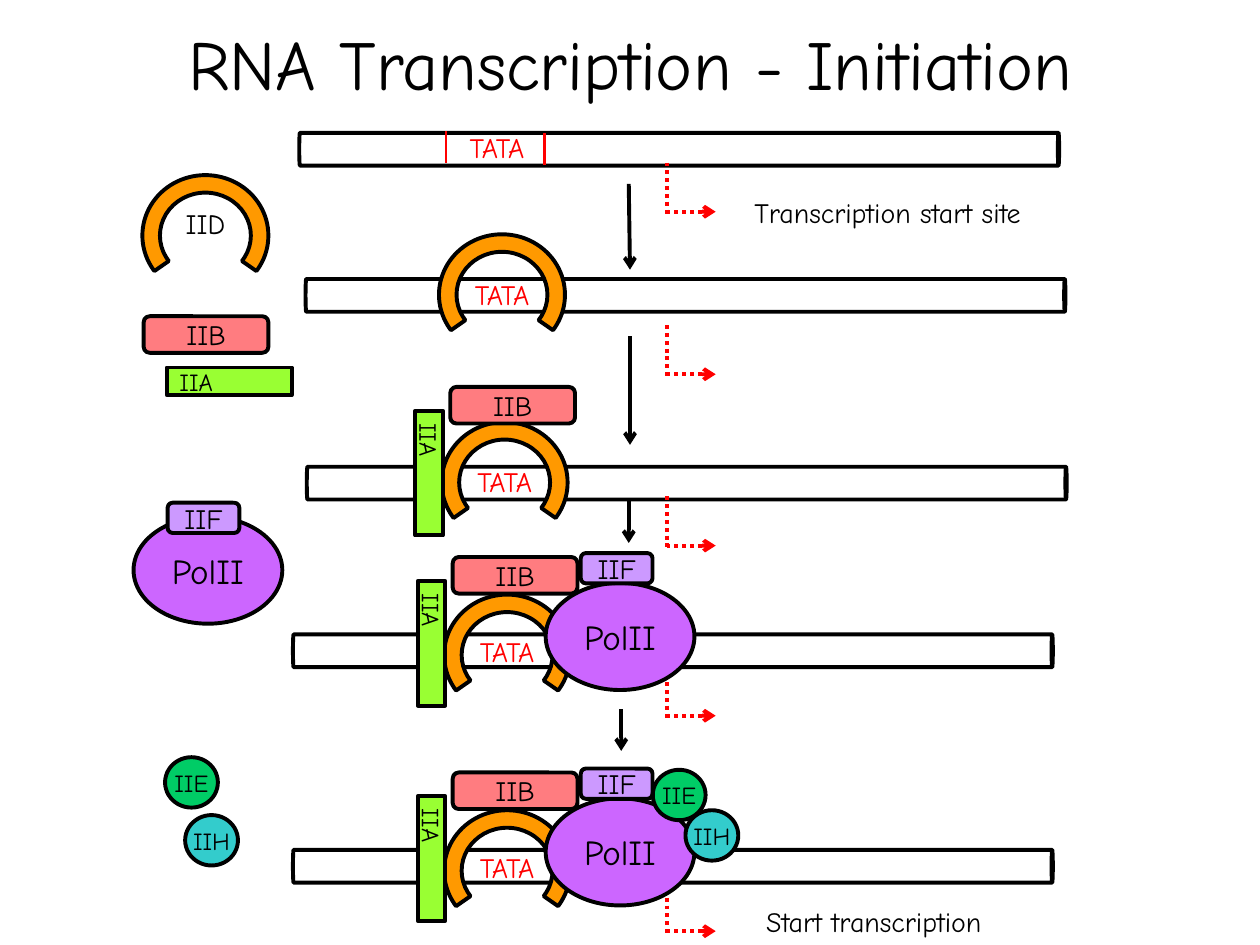
"""Build the RNA transcription initiation slide."""
from dataclasses import dataclass

import lxml.etree
import pptx
import pptx.dml.color
import pptx.enum.dml
import pptx.enum.shapes
import pptx.enum.text
import pptx.oxml.ns
import pptx.util

Pt = pptx.util.Pt
PRESET = pptx.enum.shapes.MSO_SHAPE
FONT = "Comic Neue"
COLORS = {
    "black": "000000", "white": "FFFFFF", "red": "FF0000", "orange": "FF9900",
    "salmon": "FF7C80", "lime": "99FF33", "purple": "CC66FF",
    "lilac": "CC99FF", "green": "00CC66", "teal": "33CCCC",
}


@dataclass(frozen=True)
class Factor:
    preset: int
    width: float
    height: float
    color: str
    text_size: float
    dx: float = 0
    dy: float = 0
    adjustments: tuple = ()
    vertical: bool = False


@dataclass(frozen=True)
class Stage:
    dna_x: float
    dna_y: float
    tata_x: float
    tata_y: float
    start_y: float
    bound: tuple = ()
    arc_y: float = 0


@dataclass(frozen=True)
class FreeFactor:
    name: str
    x: float
    y: float
    rotation: float = 0


FACTORS = {
    "IID": Factor(PRESET.BLOCK_ARC, 72, 69.1, "orange", 16, -9, 0, (87.104, 20.896, 0.145)),
    "IIA": Factor(PRESET.RECTANGLE, 15.8, 71.3, "lime", 14, -24.1, -31, vertical=True),
    "IIB": Factor(PRESET.ROUNDED_RECTANGLE, 71.3, 20.9, "salmon", 16, -4.1, -44.6),
    "PolII": Factor(PRESET.OVAL, 85, 61.2, "purple", 20, 49, -29.8),
    "IIF": Factor(PRESET.ROUNDED_RECTANGLE, 41, 17.3, "lilac", 16, 69.1, -46.8),
    "IIE": Factor(PRESET.OVAL, 30.2, 28.8, "green", 14, 110.2, -46.1),
    "IIH": Factor(PRESET.OVAL, 30.2, 28.8, "teal", 14, 128.9, -23),
}
BINDING_ORDER = tuple(FACTORS)
STAGES = (
    Stage(388.1, 85.3, 257, 74.9, 92.9),
    Stage(391.7, 168.8, 259.9, 159.1, 185.8, BINDING_ORDER[:1], 133.9),
    Stage(392.4, 276.1, 261.4, 265.7, 283.7, BINDING_ORDER[:3], 241.2),
    Stage(384.5, 371.9, 262.8, 362.9, 380.9, BINDING_ORDER[:5], 339.8),
    Stage(384.5, 495, 262.8, 486, 504, BINDING_ORDER, 463),
)
FREE_FACTORS = (
    FreeFactor("IID", 81.4, 100.1),
    FreeFactor("IIB", 82.1, 180.7),
    FreeFactor("IIA", 123.1, 182.2, 270),
    FreeFactor("PolII", 76.3, 295.2),
    FreeFactor("IIF", 95.8, 287.3),
    FreeFactor("IIE", 94.3, 432.7),
    FreeFactor("IIH", 105.8, 465.8),
)
STEP_ARROWS = (
    (359.3, 105.1, 360, 154.1),
    (360, 192.2, 360, 254.2),
    (359.3, 285.8, 359.3, 310.3),
    (355, 405.4, 355, 429.1),
)
LABELS = (
    ("Transcription start site", 421.2, 108),
    ("Start transcription", 413.3, 513.4),
)
DNA_LENGTH, DNA_THICKNESS = 434.2, 18.7
TATA_WIDTH = 54
START_X, START_HEIGHT, START_LENGTH = 380.9, 31, 28.1


def rgb(color: str) -> pptx.dml.color.RGBColor:
    """Return the named colour."""
    return pptx.dml.color.RGBColor.from_string(COLORS[color])


def write(target, text: str, *, size: float, color: str = "black",
          wrap: bool = False, vertical: bool = False) -> None:
    """Put centred text into a shape or text box."""
    frame = target.text_frame
    frame.word_wrap = wrap
    frame.vertical_anchor = pptx.enum.text.MSO_ANCHOR.MIDDLE
    if vertical:
        frame.margin_left = frame.margin_right = Pt(3.6)
        frame.margin_top = frame.margin_bottom = Pt(7.2)
        frame._txBody.bodyPr.set("vert", "eaVert")
    paragraph = frame.paragraphs[0]
    paragraph.alignment = pptx.enum.text.PP_ALIGN.CENTER
    run = paragraph.add_run()
    run.text = text
    run.font.name = FONT
    run.font.size = Pt(size)
    run.font.color.rgb = rgb(color)


def add_solid(shapes, preset: int, x: float, y: float, width: float, height: float,
              color: str, outlined: bool = True):
    """Add a filled preset shape."""
    solid = shapes.add_shape(preset, Pt(x), Pt(y), Pt(width), Pt(height))
    solid.shadow.inherit = False
    solid.fill.solid()
    solid.fill.fore_color.rgb = rgb(color)
    if outlined:
        solid.line.color.rgb = rgb("black")
        solid.line.width = Pt(2.25)
    else:
        solid.line.fill.background()
    return solid


def add_line(shapes, x1: float, y1: float, x2: float, y2: float, color: str,
             width: float = 2.25, dotted: bool = False, arrow: bool = False) -> None:
    """Add a straight line, optionally dotted or with an arrowhead."""
    line = shapes.add_connector(
        pptx.enum.shapes.MSO_CONNECTOR.STRAIGHT, Pt(x1), Pt(y1), Pt(x2), Pt(y2))
    line.line.color.rgb = rgb(color)
    line.line.width = Pt(width)
    if dotted:
        line.line.dash_style = pptx.enum.dml.MSO_LINE.ROUND_DOT
    qn = pptx.oxml.ns.qn
    if arrow:
        lxml.etree.SubElement(line.line._get_or_add_ln(), qn("a:tailEnd"), type="arrow")
    lxml.etree.SubElement(line._element.spPr, qn("a:effectLst"))


def add_factor(shapes, name: str, x: float, y: float, rotation: float = 0,
               labelled: bool = True) -> None:
    """Add one transcription factor."""
    factor = FACTORS[name]
    body = add_solid(shapes, factor.preset, x, y, factor.width, factor.height, factor.color)
    body.rotation = rotation
    for index, value in enumerate(factor.adjustments):
        body.adjustments[index] = value
    if labelled:
        write(body, name, size=factor.text_size, vertical=factor.vertical)


def add_stage(shapes, stage: Stage) -> None:
    """Add a DNA strand with its TATA box, start site and bound factors."""
    dna = add_solid(shapes, PRESET.CAN, stage.dna_x - DNA_THICKNESS / 2,
                    stage.dna_y - DNA_LENGTH / 2, DNA_THICKNESS, DNA_LENGTH, "white")
    dna.rotation = 90
    dna.adjustments[0] = 0.038
    corner_y = stage.start_y + START_LENGTH
    add_line(shapes, START_X, stage.start_y, START_X, stage.start_y + START_HEIGHT,
             "red", dotted=True)
    add_line(shapes, START_X, corner_y, START_X + START_LENGTH, corner_y,
             "red", dotted=True, arrow=True)
    tata = shapes.add_textbox(
        Pt(stage.tata_x), Pt(stage.tata_y), Pt(TATA_WIDTH), Pt(DNA_THICKNESS))
    write(tata, "TATA", size=16, color="red")
    for name in stage.bound:
        factor = FACTORS[name]
        y = stage.arc_y if name == "IID" else stage.tata_y + factor.dy
        add_factor(shapes, name, stage.tata_x + factor.dx, y, labelled=name != "IID")


def main() -> None:
    """Build and save the slide."""
    deck = pptx.Presentation()
    deck.slide_width, deck.slide_height = Pt(720), Pt(540)
    shapes = deck.slides.add_slide(deck.slide_layouts[6]).shapes
    title = shapes.add_textbox(Pt(54), Pt(-9.4), Pt(612), Pt(90))
    write(title, "RNA Transcription - Initiation", size=40, wrap=True)
    for stage in STAGES:
        add_stage(shapes.add_group_shape().shapes, stage)
    for x, y in ((254.9, 74.9), (311, 76.3)):
        add_line(shapes, x, y, x, y + 18, "red", width=1.5)
    for free in FREE_FACTORS:
        add_factor(shapes, free.name, free.x, free.y, free.rotation)
    for arrow in STEP_ARROWS:
        add_line(shapes, *arrow, "black", arrow=True)
    for text, x, y in LABELS:
        label = add_solid(shapes, PRESET.RECTANGLE, x, y, 172.1, 26.6, "white", outlined=False)
        write(label, text, size=16)
    deck.save("out.pptx")


if __name__ == "__main__":
    main()
